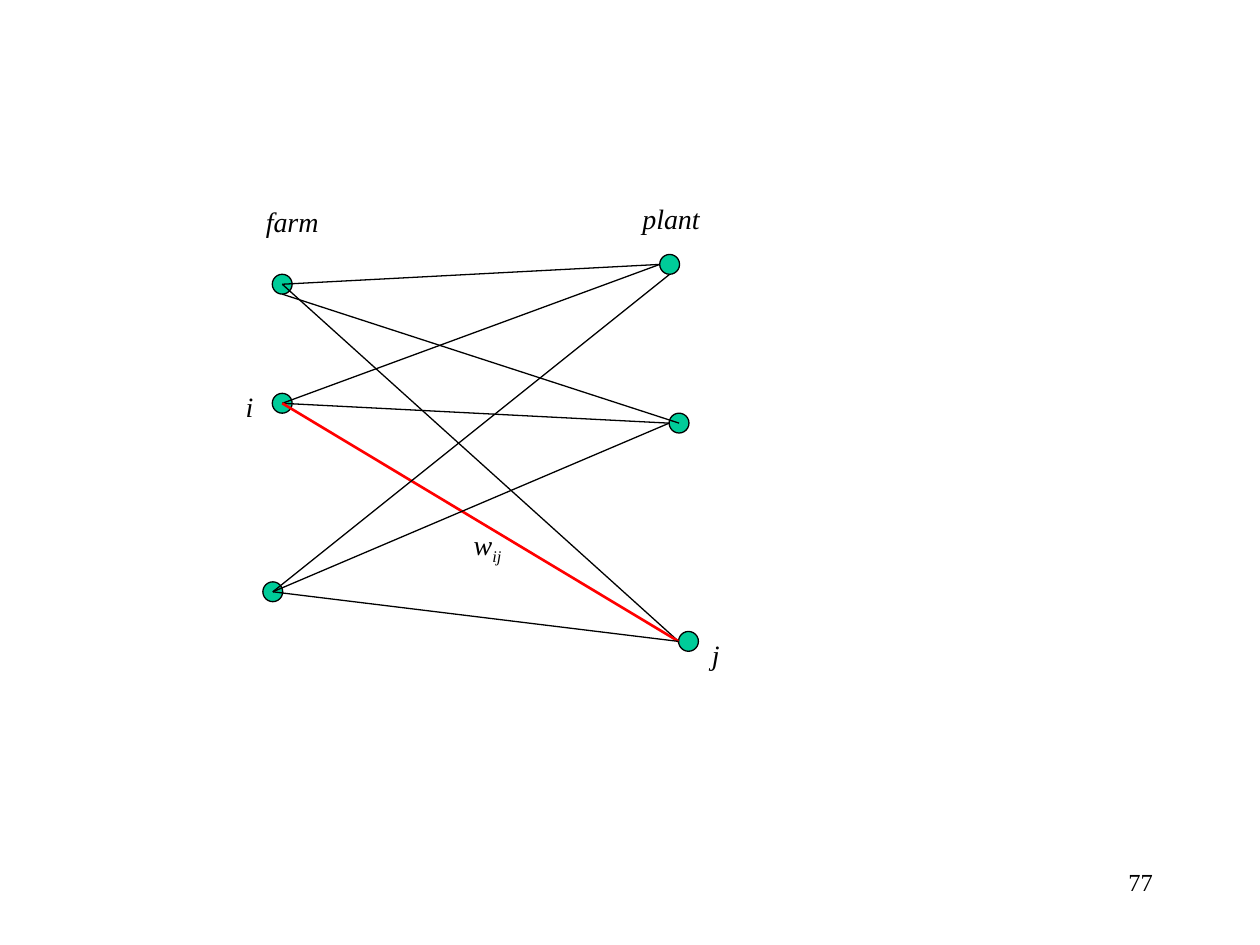
from pptx import Presentation
from pptx.dml.color import RGBColor
from pptx.enum.shapes import MSO_CONNECTOR as Connector, MSO_SHAPE as Shape
from pptx.enum.text import PP_ALIGN as Align
from pptx.oxml.ns import qn
from pptx.util import Cm, Pt
from lxml.etree import SubElement

RADIUS = 0.2
FARMS = [(5.69, 5.73), (5.69, 8.13), (5.5, 11.93)]
PLANTS = [(13.5, 5.33), (13.69, 8.53), (13.88, 12.93)]
# Where an edge meets a node, as an offset from the node's centre
CENTRE, LEFT, BOTTOM = (0, 0), (-RADIUS, 0), (0, RADIUS)
# Edges that do not run from a farm's centre to a plant's left side
SPECIAL_ENDS = {(0, 1): (BOTTOM, CENTRE), (2, 0): (CENTRE, BOTTOM)}
WEIGHTED_EDGE = (1, 2)


def color(hex_code):
    return RGBColor.from_string(hex_code)


def add_text(slide, text, left, top, width, height=0.94, *, size=16,
             italic=True, align=Align.LEFT, subscript=""):
    frame = slide.shapes.add_textbox(
        Cm(left), Cm(top), Cm(width), Cm(height)).text_frame
    frame.word_wrap = True
    paragraph = frame.paragraphs[0]
    paragraph.alignment = align
    for part in filter(None, (text, subscript)):
        run = paragraph.add_run()
        run.text = part
        run.font.name = "Times New Roman"
        run.font.size = Pt(size)
        run.font.italic = italic
        run.font.color.rgb = color("000000")
    if subscript:
        run._r.get_or_add_rPr().set("baseline", "-25000")


def add_node(slide, centre):
    x, y = centre
    node = slide.shapes.add_shape(Shape.OVAL, Cm(x - RADIUS), Cm(y - RADIUS),
                                  Cm(2 * RADIUS), Cm(2 * RADIUS))
    node.shadow.inherit = False
    node.fill.solid()
    node.fill.fore_color.rgb = color("00CC99")
    node.line.color.rgb = color("000000")
    node.line.width = Pt(0.75)


def add_edge(slide, farm, plant, ends=(CENTRE, LEFT), line="000000",
             weight=0.75):
    points = [Cm(at + shift) for node, offset in zip((farm, plant), ends)
              for at, shift in zip(node, offset)]
    edge = slide.shapes.add_connector(Connector.STRAIGHT, *points)
    edge.line.color.rgb = color(line)
    edge.line.width = Pt(weight)
    SubElement(edge._element.spPr, qn("a:effectLst"))


def main():
    deck = Presentation()
    deck.slide_width, deck.slide_height = Cm(25.4), Cm(19.05)
    slide = deck.slides.add_slide(deck.slide_layouts[6])

    add_text(slide, "77", 18.21, 17.35, 5.28, 1.27, size=14, italic=False,
             align=Align.RIGHT)
    for centre in FARMS + PLANTS:
        add_node(slide, centre)
    for i, farm in enumerate(FARMS):
        for j, plant in enumerate(PLANTS):
            ends = SPECIAL_ENDS.get((i, j), (CENTRE, LEFT))
            if (i, j) == WEIGHTED_EDGE:
                add_edge(slide, farm, plant, ends, "FF0000", 1.5)
            else:
                add_edge(slide, farm, plant, ends)

    add_text(slide, "i", 4.7, 7.72, 1.4)
    add_text(slide, "j", 14.1, 12.73, 1.4)
    add_text(slide, "w", 9.3, 10.52, 1.4, 1.04, subscript="ij")
    add_text(slide, "farm", 5.11, 3.99, 2.21)
    add_text(slide, "plant", 12.7, 3.94, 2.21)
    deck.save("out.pptx")


if __name__ == "__main__":
    main()
